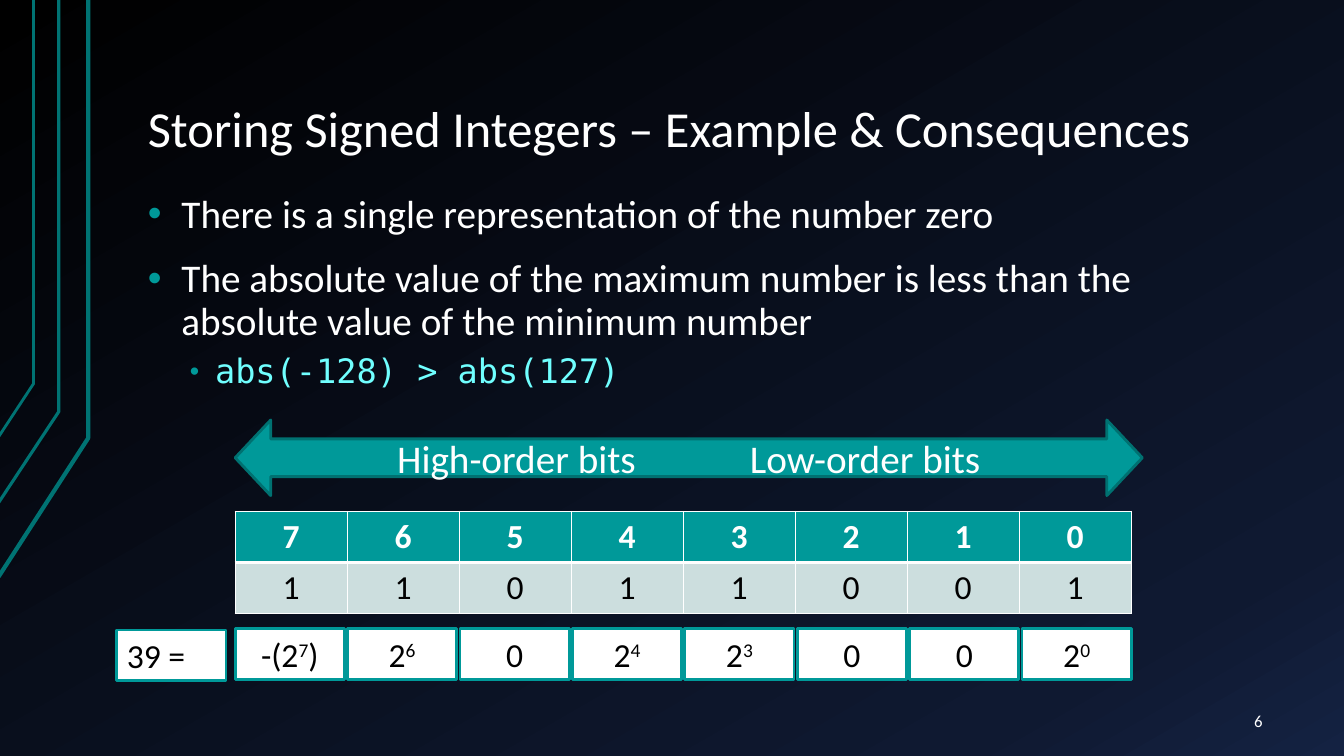
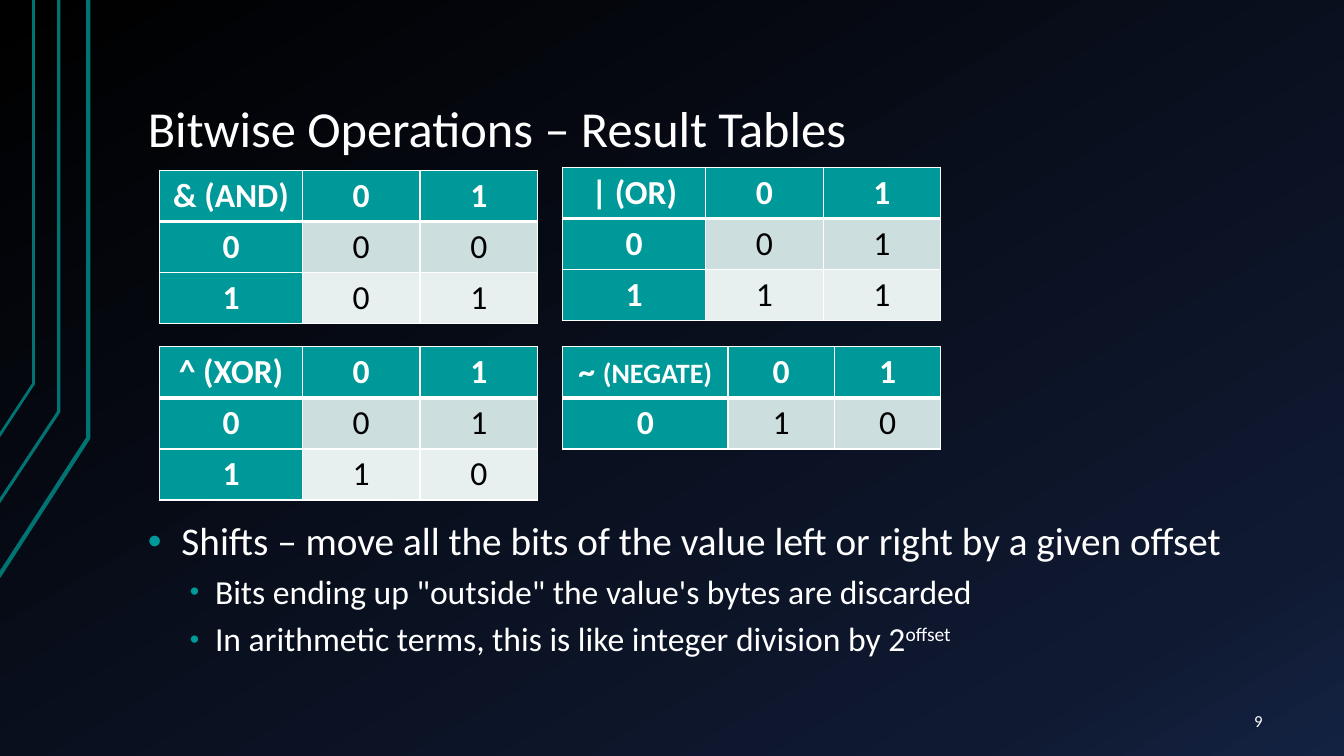
"""Build two slides on signed integers and bitwise operations."""
from copy import deepcopy

from lxml import etree
from pptx import Presentation
from pptx import util as u
from pptx.dml.color import RGBColor
from pptx.enum import shapes, text
from pptx.oxml.ns import qn

WHITE, BLACK, TEAL, DARK_TEAL = "FFFFFF", "000000", "009999", "007373"
ARROW_EDGE, CODE_COLOUR = "007171", "70FFFF"
BANDS = ["CCDEDE", "E7EFEF"]
BACKDROP = [(0, "000000"), (0.85, "0F1931"), (1, "142242")]
SANS, MONO = "Calibri", "DejaVu Sans Mono"
LEFT, CENTER, RIGHT = text.PP_ALIGN.LEFT, text.PP_ALIGN.CENTER, text.PP_ALIGN.RIGHT
TOP, MIDDLE, BOTTOM = text.MSO_ANCHOR.TOP, text.MSO_ANCHOR.MIDDLE, text.MSO_ANCHOR.BOTTOM
SUP = {"sup": True}

TRACES = [
    (3, [(-0.72, 411.6), (63.36, 313.2), (63.36, 0)]),
    (2.25, [(-1.44, 359.2), (41.76, 293.8), (41.76, 0)]),
    (2, [(-0.72, 312.5), (24.48, 274.3), (24.48, 0)]),
]
LEVELS = [
    {"indent": 24, "hanging": 24, "before": 16, "size": 28, "bullet": 100},
    {"indent": 48, "hanging": 18, "before": 8, "size": 24, "bullet": 80},
]

SIGNED_TITLE = "Storing Signed Integers – Example & Consequences"
SIGNED_POINTS = [
    (0, "There is a single representation of the number zero"),
    (0, "The absolute value of the maximum number is less than the "
        "absolute value of the minimum number"),
    (1, [("abs(-128) > abs(127)", {"font": MONO, "colour": CODE_COLOUR})]),
]
BIT_ORDER = "High-order bits\t\t\tLow-order bits"
BITS = ["76543210", "11011001"]
SUM_LABEL = "39 ="
TERMS = [
    [("-(2", {}), ("7", SUP), (")", {})],
    [("2", {}), ("6", SUP)],
    "0",
    [("2", {}), ("4", SUP)],
    [("2", {}), ("3", SUP)],
    "0",
    "0",
    [("2", {}), ("0", SUP)],
]

BITWISE_TITLE = "Bitwise Operations – Result Tables"
TRUTH_TABLES = [
    (114, 121.7, [102, 84, 84], [["& (AND)", "0", "1"], "000", "101"]),
    (402, 119.5, [102, 84, 84], [["| (OR)", "0", "1"], "001", "111"]),
    (114, 247.7, [102, 84, 84], [["^ (XOR)", "0", "1"], "001", "110"]),
    (402, 247.7, [118, 76, 76],
     [[[("~ ", {}), ("(NEGATE)", {"size": 20})], "0", "1"], "010"]),
]
SHIFT_POINTS = [
    (0, "Shifts – move all the bits of the value left or right by a given offset"),
    (1, "Bits ending up \"outside\" the value's bytes are discarded"),
    (1, [("In arithmetic terms, this is like integer division by 2", {}), ("offset", SUP)]),
]


def rgb(code):
    return RGBColor.from_string(code)


def write(paragraph, parts, size, colour=WHITE, bold=False, align=LEFT):
    paragraph.alignment = align
    for words, change in [(parts, {})] if isinstance(parts, str) else parts:
        run = paragraph.add_run()
        run.text = words
        run.font.name = change.get("font", SANS)
        run.font.size = u.Pt(change.get("size", size))
        run.font.bold = bold
        run.font.color.rgb = rgb(change.get("colour", colour))
        if change.get("sup"):
            run.font._element.set("baseline", "30000")


def add_text_area(slide, left, top, width, height, anchor):
    box = slide.shapes.add_textbox(u.Pt(left), u.Pt(top), u.Pt(width), u.Pt(height))
    frame = box.text_frame
    frame.word_wrap = True
    frame.vertical_anchor = anchor
    frame.margin_left = frame.margin_right = u.Pt(9.6)
    frame.margin_top = frame.margin_bottom = u.Pt(4.8)
    return frame


def add_bullet(paragraph, level):
    style = LEVELS[level]
    paragraph.level = level
    paragraph.line_spacing = 0.9
    paragraph.space_before = u.Pt(style["before"])
    props = paragraph._p.get_or_add_pPr()
    props.set("marL", str(u.Pt(style["indent"])))
    props.set("indent", str(-u.Pt(style["hanging"])))
    colour = etree.SubElement(props, qn("a:buClr"))
    etree.SubElement(colour, qn("a:srgbClr"), val=TEAL)
    etree.SubElement(props, qn("a:buSzPct"), val=str(style["bullet"] * 1000))
    etree.SubElement(props, qn("a:buFont"), typeface="Arial")
    etree.SubElement(props, qn("a:buChar"), char="•")


def add_points(slide, points, top):
    frame = add_text_area(slide, 96, top, 816, 485 - top, TOP)
    for i, (level, parts) in enumerate(points):
        paragraph = frame.add_paragraph() if i else frame.paragraphs[0]
        write(paragraph, parts, LEVELS[level]["size"])
        add_bullet(paragraph, level)


def add_base(deck, title, number):
    slide = deck.slides.add_slide(deck.slide_layouts[6])
    fill = slide.background.fill
    fill.gradient()
    fill.gradient_angle = 300
    stops = next(slide._element.iter(qn("a:gsLst")))
    stops.append(deepcopy(stops[0]))
    for stop, (position, colour) in zip(fill.gradient_stops, BACKDROP):
        stop.position = position
        stop.color.rgb = rgb(colour)
    for weight, (start, *rest) in TRACES:
        builder = slide.shapes.build_freeform(*start, scale=u.Pt(1))
        builder.add_line_segments(rest, close=False)
        trace = builder.convert_to_shape()
        trace.shadow.inherit = False
        trace.fill.background()
        trace.line.color.rgb = rgb(DARK_TEAL)
        trace.line.width = u.Pt(weight)
    heading = add_text_area(slide, 96, 21.6, 816, 96.5, BOTTOM).paragraphs[0]
    heading.line_spacing = 0.9
    write(heading, title, 36)
    footer = add_text_area(slide, 831.6, 500.4, 80, 28.8, MIDDLE)
    write(footer.paragraphs[0], number, 12, align=RIGHT)
    return slide


def add_block(slide, kind, left, top, width, height, fill, edge):
    block = slide.shapes.add_shape(kind, u.Pt(left), u.Pt(top), u.Pt(width), u.Pt(height))
    block.shadow.inherit = False
    block.fill.solid()
    block.fill.fore_color.rgb = rgb(fill)
    block.line.color.rgb = rgb(edge)
    block.line.width = u.Pt(2)
    block.text_frame.word_wrap = True
    return block


def add_term(slide, left, top, parts, align=CENTER):
    block = add_block(slide, shapes.MSO_SHAPE.RECTANGLE, left, top, 78, 36, WHITE, TEAL)
    write(block.text_frame.paragraphs[0], parts, 24, BLACK, align=align)


def add_borders(cell, row):
    props = cell._tc.get_or_add_tcPr()
    weights = {"L": 1, "R": 1, "T": 3 if row == 1 else 1, "B": 1 if row else 3}
    for side, weight in weights.items():
        border = etree.SubElement(props, qn("a:ln" + side), w=str(u.Pt(weight)))
        solid = etree.SubElement(border, qn("a:solidFill"))
        etree.SubElement(solid, qn("a:srgbClr"), val=WHITE)


def add_grid(slide, left, top, widths, rows, row_heads):
    height = 36.5
    grid = slide.shapes.add_table(len(rows), len(widths), u.Pt(left), u.Pt(top),
                                  u.Pt(sum(widths)), u.Pt(height * len(rows))).table
    for column, width in zip(grid.columns, widths):
        column.width = u.Pt(width)
    for r, row in enumerate(rows):
        grid.rows[r].height = u.Pt(height)
        for c, parts in enumerate(row):
            head = r == 0 or (row_heads and c == 0)
            cell = grid.cell(r, c)
            add_borders(cell, r)
            cell.fill.solid()
            cell.fill.fore_color.rgb = rgb(TEAL if head else BANDS[(r - 1) % 2])
            write(cell.text_frame.paragraphs[0], parts, 24,
                  WHITE if head else BLACK, head, CENTER)


deck = Presentation()
deck.slide_width, deck.slide_height = u.Pt(960), u.Pt(540)

signed = add_base(deck, SIGNED_TITLE, "6")
add_points(signed, SIGNED_POINTS, 134)
add_grid(signed, 168, 365.3, [80] * 8, BITS, False)
add_term(signed, 83.5, 450, SUM_LABEL, LEFT)
for i, term in enumerate(TERMS):
    add_term(signed, 168 + 80.3 * i, 449.2, term)
arrow = add_block(signed, shapes.MSO_SHAPE.LEFT_RIGHT_ARROW,
                  168, 300, 648, 54, TEAL, ARROW_EDGE)
arrow.adjustments[0], arrow.adjustments[1] = 0.5, 0.47
write(arrow.text_frame.paragraphs[0], BIT_ORDER, 28, align=CENTER)

bitwise = add_base(deck, BITWISE_TITLE, "9")
add_points(bitwise, SHIFT_POINTS, 368)
for left, top, widths, rows in TRUTH_TABLES:
    add_grid(bitwise, left, top, widths, rows, True)

deck.save("out.pptx")
